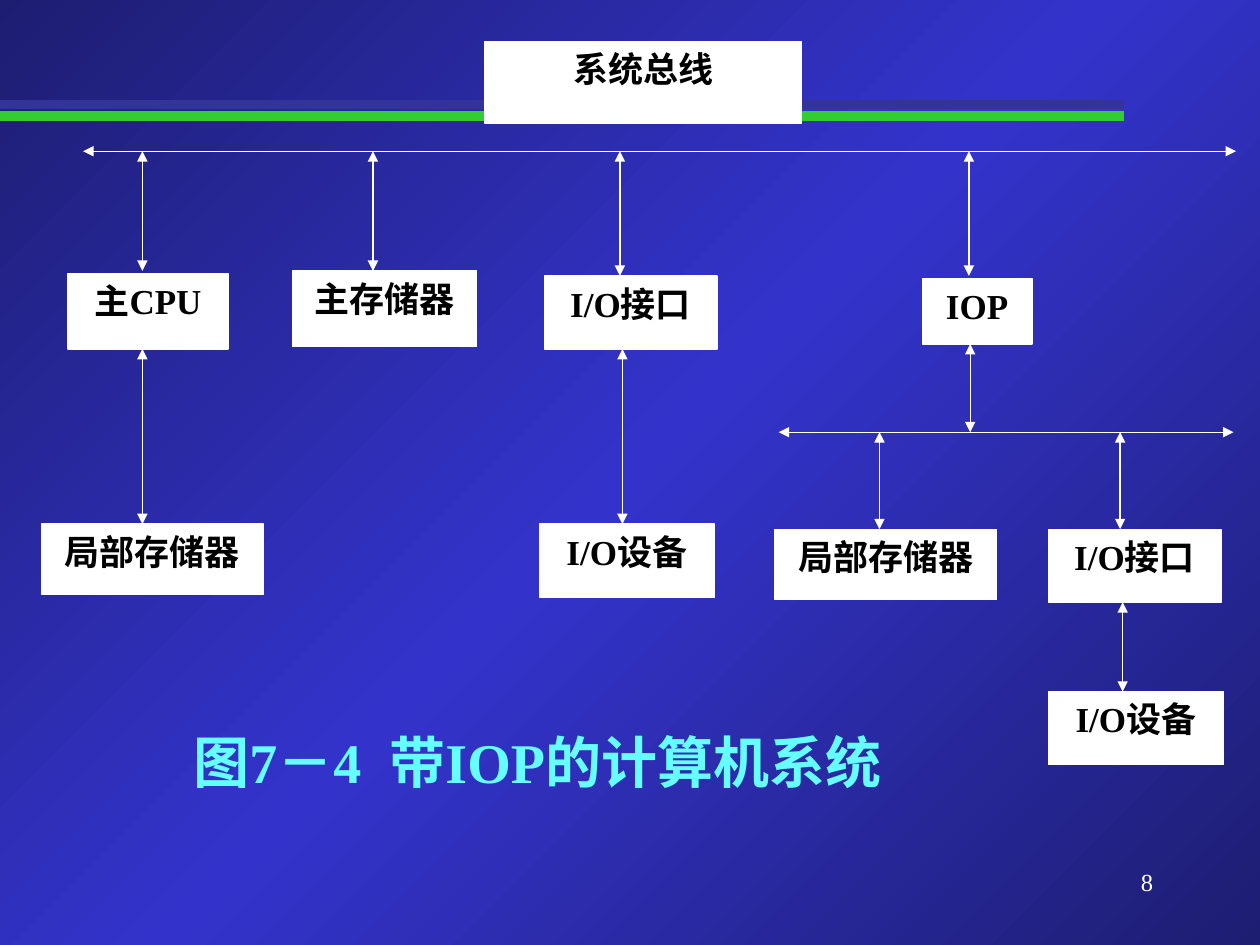
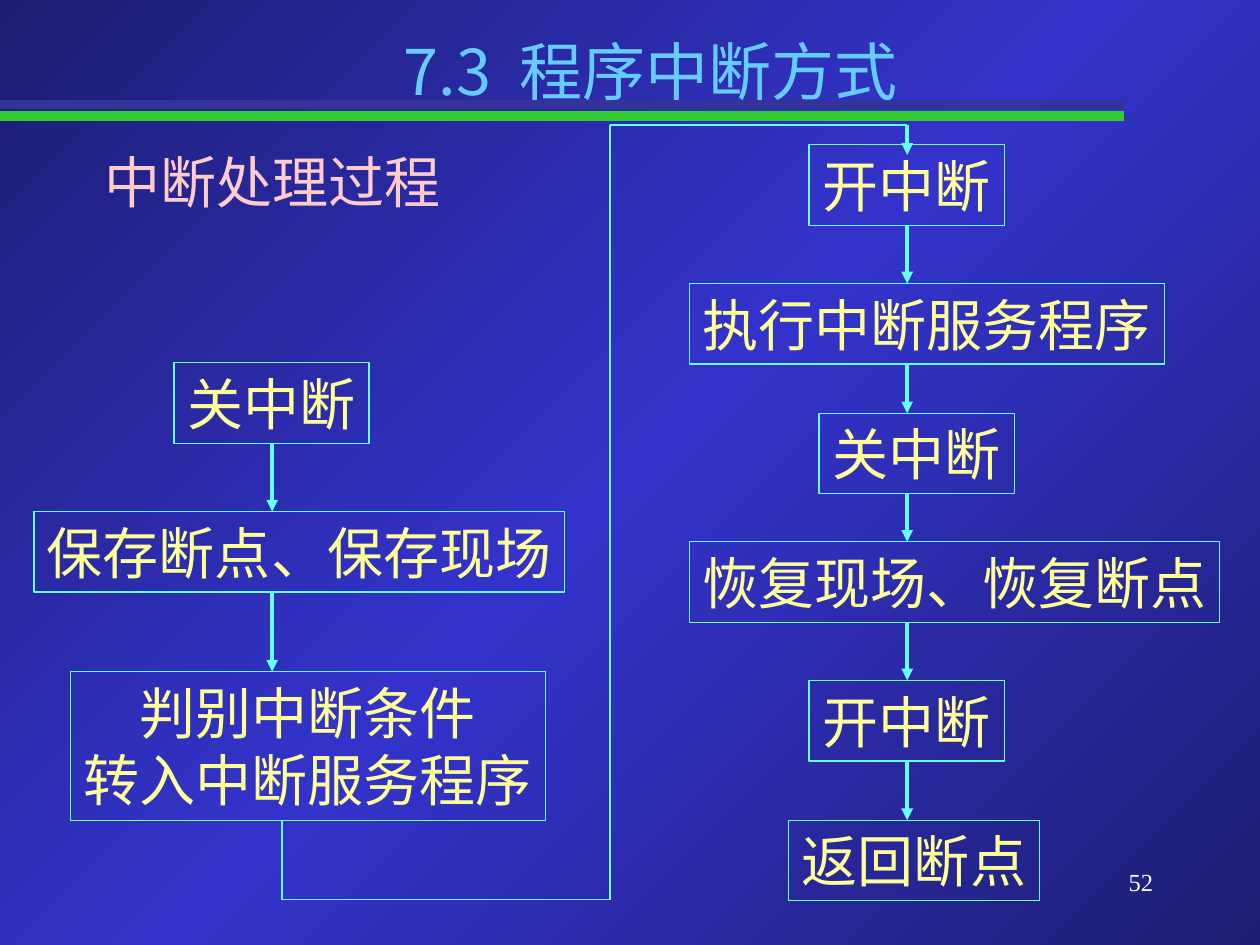
from copy import deepcopy
from itertools import pairwise
from typing import NamedTuple

from pptx import Presentation
from pptx.dml.color import RGBColor
from pptx.enum.shapes import MSO_CONNECTOR, MSO_SHAPE
from pptx.enum.text import MSO_ANCHOR, MSO_AUTO_SIZE, PP_ALIGN
from pptx.oxml.ns import qn
from pptx.oxml.xmlchemy import OxmlElement
from pptx.util import Emu, Pt

LINE, RECT = MSO_CONNECTOR.STRAIGHT, MSO_SHAPE.RECTANGLE
CENTER, RIGHT = PP_ALIGN.CENTER, PP_ALIGN.RIGHT
TOP, MIDDLE = MSO_ANCHOR.TOP, MSO_ANCHOR.MIDDLE
NO_FIT = MSO_AUTO_SIZE.NONE

# Shared look: 100 px to the inch
PX = 9144
WIDTH, HEIGHT = 1000, 750
TITLE_ONLY = 5
SERIF, SANS = "Times New Roman", "Noto Sans CJK SC"
NAVY, BLUE, INDIGO, GREEN = "1D1D72", "3333CC", "333399", "33CC33"
WHITE, BLACK = "FFFFFF", "000000"
CYAN, SKY, PINK, YELLOW = "66FFFF", "66CCFF", "FFCCCC", "FFFF99"


class Style(NamedTuple):
    size: int
    color: str
    font: str = SERIF
    bold: bool = False
    align: PP_ALIGN = CENTER
    anchor: MSO_ANCHOR = TOP
    wrap: bool = True


class BoxLook(NamedTuple):
    text: Style
    line: str
    fill: str | None = None


class Box(NamedTuple):
    text: str
    x: int
    y: int
    w: int
    h: int

    @property
    def bottom(self) -> int:
        return self.y + self.h


class Stroke(NamedTuple):
    color: str
    width: float
    head: bool = False
    tail: bool = False


PAGE_NUMBER = Style(14, WHITE, align=RIGHT)
CAPTION = Style(32, CYAN, bold=True)
HEADING = Style(36, SKY, SANS)
SUBHEADING = Style(32, PINK, wrap=False)
UNIT = BoxLook(Style(20, BLACK, bold=True), WHITE, WHITE)
STEP = BoxLook(Style(32, YELLOW, anchor=MIDDLE, wrap=False), CYAN)
BUS = Stroke(WHITE, 0.75, head=True, tail=True)
FLOW = Stroke(CYAN, 2.25, tail=True)
RETURN_PATH = Stroke(CYAN, 1)


def rgb(color: str) -> RGBColor:
    return RGBColor.from_string(color)


def px(*lengths: int) -> list[Emu]:
    return [Emu(n * PX) for n in lengths]


def write(shape, text: str, style: Style) -> None:
    tf = shape.text_frame
    tf.text = text
    tf.word_wrap = style.wrap
    tf.auto_size = NO_FIT
    tf.vertical_anchor = style.anchor
    for p in tf.paragraphs:
        p.alignment = style.align
        for r in p.runs:
            r.font.name = style.font
            r.font.size = Pt(style.size)
            r.font.bold = style.bold
            r.font.color.rgb = rgb(style.color)
            if style.font == SANS:
                ea = OxmlElement("a:ea")
                ea.set("typeface", SANS)
                r.font._element.append(ea)


def add_text(s, box: Box, style: Style) -> None:
    write(s.shapes.add_textbox(*px(*box[1:])), box.text, style)


def set_title(s, box: Box, style: Style) -> None:
    title = s.shapes.title
    title.left, title.top, title.width, title.height = px(*box[1:])
    write(title, box.text, style)


def add_box(s, box: Box, look: BoxLook) -> None:
    sp = s.shapes.add_shape(RECT, *px(*box[1:]))
    sp.shadow.inherit = False
    if look.fill:
        sp.fill.solid()
        sp.fill.fore_color.rgb = rgb(look.fill)
    else:
        sp.fill.background()
    sp.line.color.rgb = rgb(look.line)
    sp.line.width = Pt(0.75)
    write(sp, box.text, look.text)


def add_line(s, start: tuple[int, int], end: tuple[int, int], stroke: Stroke):
    cxn = s.shapes.add_connector(LINE, *px(*start, *end))
    cxn.line.color.rgb = rgb(stroke.color)
    cxn.line.width = Pt(stroke.width)
    ln = cxn.line._get_or_add_ln()
    for tag, wanted in (("a:headEnd", stroke.head), ("a:tailEnd", stroke.tail)):
        if wanted:
            arrow = OxmlElement(tag)
            arrow.set("type", "triangle")
            ln.append(arrow)
    cxn._element.spPr.append(OxmlElement("a:effectLst"))
    return cxn


def paint_background(master) -> None:
    fill = master.background.fill
    fill.gradient()
    fill.gradient_angle = 315
    for stop, color in zip(fill.gradient_stops, (NAVY, BLUE)):
        stop.color.rgb = rgb(color)
    first, middle = master.element.iter(qn("a:gs"))
    last = deepcopy(first)
    middle.addnext(last)
    for gs, position in zip((first, middle, last), (0, 50000, 100000)):
        gs.set("pos", str(position))


def add_bands(master, s) -> None:
    """Draw the two title bands on a slide and move them to the master."""
    for shape_id, (y, color) in enumerate(((92, GREEN), (83, INDIGO)), 101):
        band = add_line(s, (0, y), (892, y), Stroke(color, 5.5))
        band.element.nvCxnSpPr.cNvPr.set("id", str(shape_id))
        master.element.cSld.spTree.append(band.element)


def add_slide(prs, number: str):
    s = prs.slides.add_slide(prs.slide_layouts[TITLE_ONLY])
    add_text(s, Box(number, 717, 683, 208, 50), PAGE_NUMBER)
    return s


def build_iop_system(s) -> None:
    set_title(s, Box("图7－4  带IOP的计算机系统", 95, 572, 663, 86), CAPTION)

    # Units
    for box in (
        Box("系统总线", 385, 33, 251, 65),
        Box("主CPU", 54, 217, 127, 60),
        Box("主存储器", 232, 215, 146, 60),
        Box("I/O接口", 432, 219, 137, 58),
        Box("IOP", 732, 221, 87, 52),
        Box("局部存储器", 33, 416, 176, 56),
        Box("I/O设备", 428, 416, 139, 58),
        Box("局部存储器", 615, 420, 176, 56),
        Box("I/O接口", 832, 420, 137, 58),
        Box("I/O设备", 832, 549, 139, 58),
    ):
        add_box(s, box, UNIT)

    # System bus and the bus of the IOP
    system_y, local_y = 120, 343
    for y, left, right in ((system_y, 66, 981), (local_y, 618, 979)):
        add_line(s, (left, y), (right, y), BUS)

    # Links: x, top, bottom
    for x, top, bottom in (
        (113, system_y, 215),
        (296, system_y, 215),
        (492, system_y, 219),
        (769, system_y, 219),
        (113, 277, 416),
        (494, 277, 416),
        (770, 273, local_y),
        (698, local_y, 420),
        (889, local_y, 420),
        (891, 478, 549),
    ):
        add_line(s, (x, top), (x, bottom), BUS)


def add_flow(s, boxes: list[Box], axis: int) -> None:
    for box in boxes:
        add_box(s, box, STEP)
    for upper, lower in pairwise(boxes):
        add_line(s, (axis, upper.bottom), (axis, lower.y), FLOW)


def build_interrupt_flow(s) -> None:
    set_title(s, Box("7.3  程序中断方式", 150, 21, 733, 70), HEADING)
    add_text(s, Box("中断处理过程", 73, 112, 287, 63), SUBHEADING)

    # Two columns of steps
    entry = [
        Box("关中断", 138, 288, 155, 64),
        Box("保存断点、保存现场", 27, 406, 421, 64),
        Box("判别中断条件\v转入中断服务程序", 56, 533, 377, 118),
    ]
    service = [
        Box("开中断", 642, 115, 155, 64),
        Box("执行中断服务程序", 547, 225, 377, 64),
        Box("关中断", 650, 328, 155, 64),
        Box("恢复现场、恢复断点", 547, 430, 421, 64),
        Box("开中断", 642, 540, 155, 64),
        Box("返回断点", 626, 651, 199, 64),
    ]
    service_axis = 720
    add_flow(s, entry, 216)
    add_flow(s, service, service_axis)

    # Path from the last entry step to the first service step
    turns = [(224, entry[-1].bottom), (224, 714), (484, 714), (484, 99),
             (service_axis, 99)]
    for start, end in pairwise(turns):
        add_line(s, start, end, RETURN_PATH)
    add_line(s, turns[-1], (service_axis, 123), FLOW)


def main() -> None:
    prs = Presentation()
    prs.slide_width, prs.slide_height = px(WIDTH, HEIGHT)
    paint_background(prs.slide_master)

    iop_slide = add_slide(prs, "8")
    add_bands(prs.slide_master, iop_slide)
    build_iop_system(iop_slide)
    build_interrupt_flow(add_slide(prs, "52"))

    prs.save("out.pptx")


if __name__ == "__main__":
    main()
